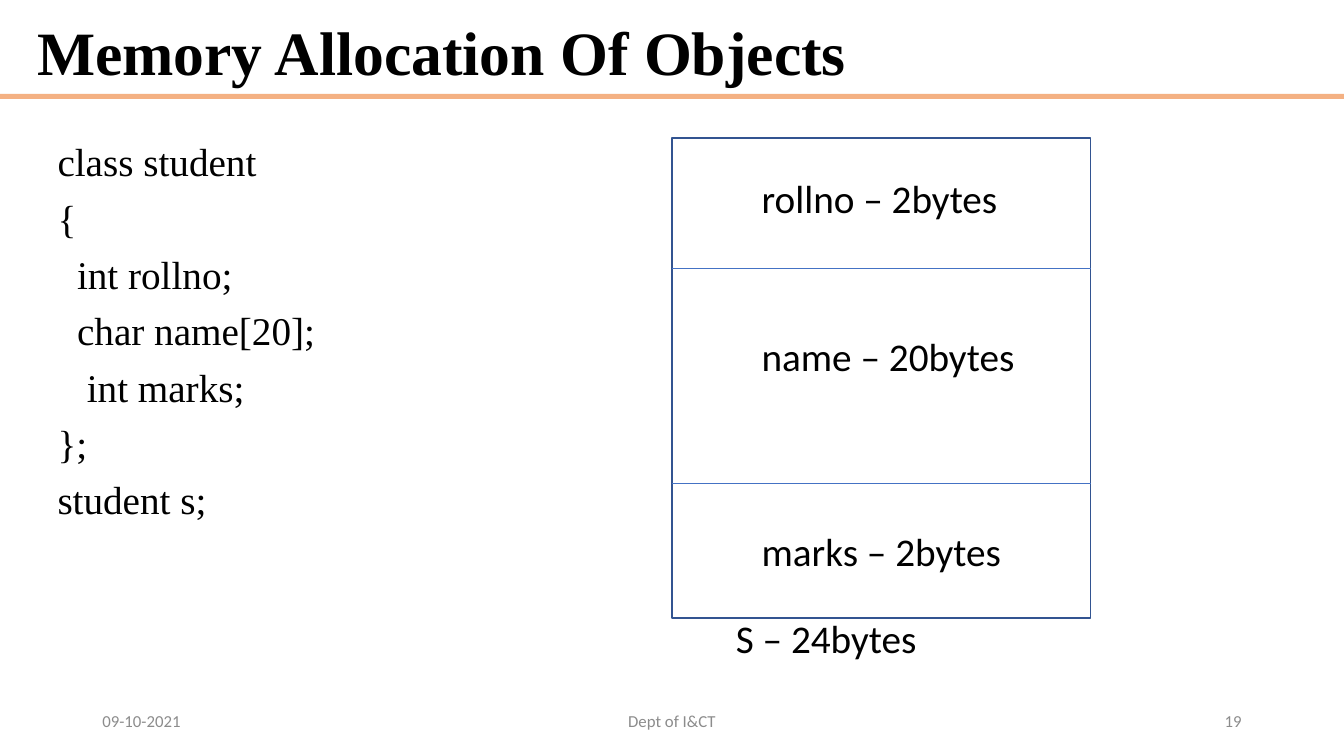
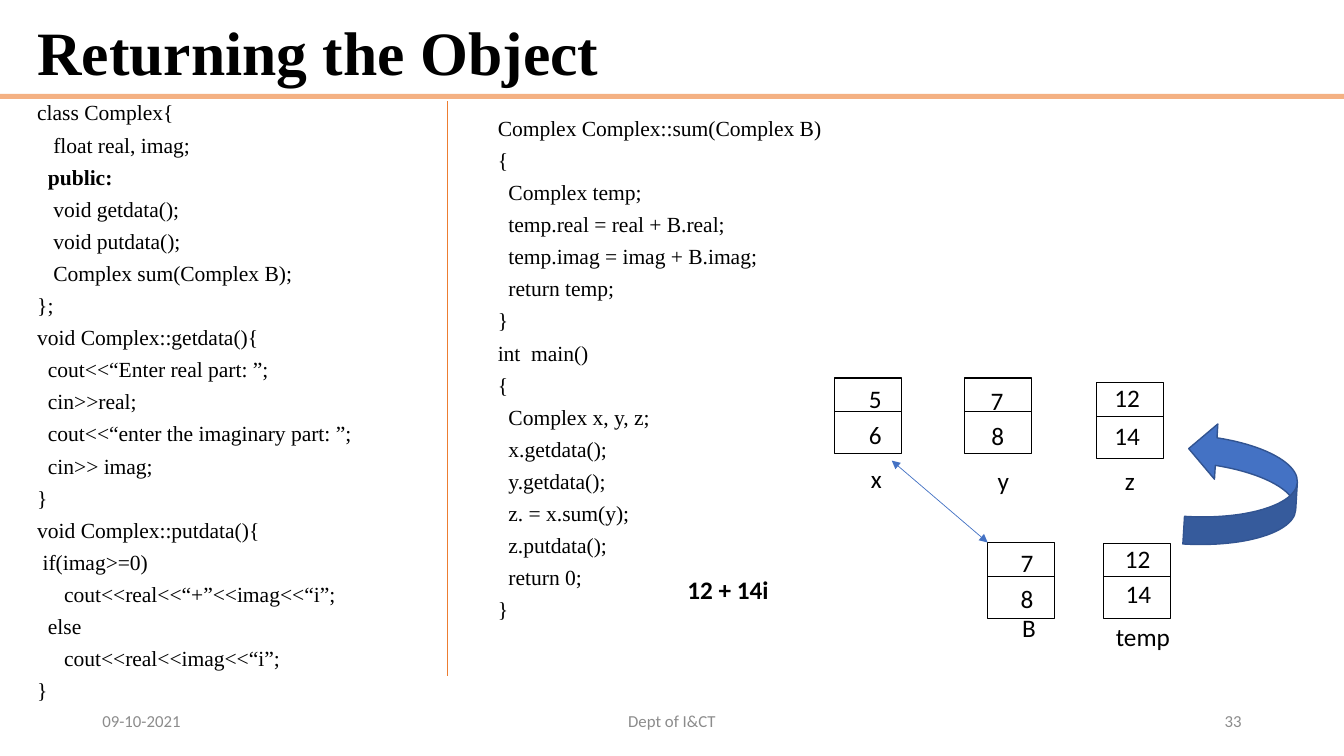
"""Build two slides on memory and return of objects."""
import dataclasses

import lxml.etree
import pptx
import pptx.dml.color
import pptx.enum.shapes
import pptx.enum.text
import pptx.oxml.ns
import pptx.util

Pt = pptx.util.Pt
Align = pptx.enum.text.PP_ALIGN
Anchor = pptx.enum.text.MSO_ANCHOR
Shape = pptx.enum.shapes.MSO_SHAPE
SERIF, SANS = "Times New Roman", "Calibri"
BLACK, GRAY, BLUE, NAVY = "000000", "8C8C8C", "4472C4", "325491"
PEACH, ORANGE = "F4B183", "ED7D31"
WIDTH, HEIGHT = 960, 540
CELL_W, CELL_H, SPLIT = 48, 54, 24


@dataclasses.dataclass
class Font:
    size: float
    face: str = SANS
    hue: str = BLACK
    bold: bool = False


@dataclasses.dataclass
class Label:
    text: str
    left: float
    top: float
    width: float = 24


@dataclasses.dataclass
class Code:
    text: str
    left: float
    top: float
    width: float
    height: float
    size: float
    pitch: float


@dataclasses.dataclass
class Foot:
    text: str
    left: float
    width: float
    align: Align


TITLE = Font(44, SERIF, bold=True)
SMALL = Font(12, hue=GRAY)
LARGE = Font(28)
VALUE = Font(18)
RESULT = Font(18, bold=True)

STUDENT = Code("""class student
{
  int rollno;
  char name[20];
   int marks;
};
student s;""", 34, 98.5, 408, 343, 28, 0.9)

COMPLEX = Code("""class Complex{
   float real, imag;
  public:
   void getdata();
   void putdata();
   Complex sum(Complex B);
};
void Complex::getdata(){
  cout<<“Enter real part: ”;
  cin>>real;
  cout<<“enter the imaginary part: ”;
  cin>> imag;
}
void Complex::putdata(){
 if(imag>=0)
     cout<<real<<“+”<<imag<<“i”;
  else
     cout<<real<<imag<<“i”;
}""", 19.5, 72.5, 286, 440, 15.4, 0.7)

SUM = Code("""Complex Complex::sum(Complex B)
{
  Complex temp;
  temp.real = real + B.real;
  temp.imag = imag + B.imag;
  return temp;
}
int  main()
{
  Complex x, y, z;
  x.getdata();
  y.getdata();
  z. = x.sum(y);
  z.putdata();
  return 0;
}""", 348.5, 83.5, 330, 417, 15.4, 0.7)

FIELDS = [
    Label("rollno – 2bytes", 537, 121, 185),
    Label("name – 20bytes", 537, 234, 197),
    Label("marks – 2bytes", 537, 373, 187),
    Label("S – 24bytes", 518.5, 435.5, 145),
]

CELLS = [(596, 270), (689, 270), (783, 273.5), (705.5, 387.5), (788, 388)]
VALUES = [
    Label("5", 613.5, 270), Label("6", 613.5, 296), Label("x", 615, 327.5, 22),
    Label("7", 700.5, 271.5), Label("8", 701, 296.5), Label("y", 705.5, 329, 23),
    Label("12", 789, 269.5, 33), Label("14", 789, 296.5, 33), Label("z", 796.5, 329, 22),
    Label("7", 722, 387.5), Label("8", 722, 413), Label("B", 723, 434),
    Label("12", 796.5, 384.5, 33), Label("14", 797, 409.5, 33), Label("temp", 790, 440, 53),
]


def tint(code: str) -> pptx.dml.color.RGBColor:
    return pptx.dml.color.RGBColor.from_string(code)


def style(para, font: Font) -> None:
    for run in para.runs:
        run.font.size = Pt(font.size)
        run.font.name = font.face
        run.font.bold = font.bold
        run.font.color.rgb = tint(font.hue)


def add_text(slide, text: str, left: float, top: float, width: float, height: float,
             font: Font, wrap: bool = True, anchor: Anchor = Anchor.TOP):
    frame = slide.shapes.add_textbox(Pt(left), Pt(top), Pt(width), Pt(height)).text_frame
    frame.word_wrap = wrap
    frame.vertical_anchor = anchor
    frame.text = text
    for para in frame.paragraphs:
        style(para, font)
    return frame


def add_label(slide, label: Label, font: Font) -> None:
    height = 41 if font.size > 18 else 29
    frame = add_text(slide, label.text, label.left, label.top, label.width, height, font, False)
    frame.auto_size = pptx.enum.text.MSO_AUTO_SIZE.SHAPE_TO_FIT_TEXT


def add_code(slide, code: Code) -> None:
    font = Font(code.size, SERIF)
    frame = add_text(slide, code.text, code.left, code.top, code.width, code.height, font)
    for row, para in enumerate(frame.paragraphs):
        para.line_spacing = code.pitch
        para.space_before = Pt(10 if row else 0)
        if para.text.strip() == "public:":
            style(para, dataclasses.replace(font, bold=True))


def paint(shape, fill: str = "", line: str = "", weight: float = 1) -> None:
    shape.shadow.inherit = False
    if fill:
        shape.fill.solid()
        shape.fill.fore_color.rgb = tint(fill)
    else:
        shape.fill.background()
    if line:
        shape.line.color.rgb = tint(line)
        shape.line.width = Pt(weight)
    else:
        shape.line.fill.background()


def add_shape(slide, kind: Shape, left: float, top: float, width: float, height: float,
              fill: str = "", line: str = ""):
    shape = slide.shapes.add_shape(kind, Pt(left), Pt(top), Pt(width), Pt(height))
    paint(shape, fill, line)
    return shape


def add_line(slide, x1: float, y1: float, x2: float, y2: float,
             hue: str, heads: bool = False) -> None:
    line = slide.shapes.add_connector(
        pptx.enum.shapes.MSO_CONNECTOR.STRAIGHT, Pt(x1), Pt(y1), Pt(x2), Pt(y2))
    line.line.color.rgb = tint(hue)
    line.line.width = Pt(0.5)
    name = pptx.oxml.ns.qn
    if heads:
        stroke = line.line._get_or_add_ln()
        for end in ("a:headEnd", "a:tailEnd"):
            lxml.etree.SubElement(stroke, name(end), type="triangle")
    lxml.etree.SubElement(line._element.spPr, name("a:effectLst"))


def add_cell(slide, left: float, top: float) -> None:
    right, base, mid = Pt(left + CELL_W), Pt(top + CELL_H), Pt(top + SPLIT)
    left, top = Pt(left), Pt(top)
    pen = slide.shapes.build_freeform(left, top)
    pen.add_line_segments([(right, top), (right, base), (left, base)])
    pen.move_to(left, mid)
    pen.add_line_segments([(right, mid)], close=False)
    paint(pen.convert_to_shape(), line=BLACK, weight=0.75)


def add_slide(deck, title: str, number: int):
    slide = deck.slides.add_slide(deck.slide_layouts[6])
    add_shape(slide, Shape.RECTANGLE, 0, 67, WIDTH, 3.6, PEACH)
    frame = add_text(slide, title, 19.5, 10.8, 875, 57, TITLE, anchor=Anchor.MIDDLE)
    frame.paragraphs[0].line_spacing = 0.9
    for foot in (Foot("09-10-2021", 66, 216, Align.LEFT),
                 Foot("Dept of I&CT", 318, 324, Align.CENTER),
                 Foot(str(number), 678, 216, Align.RIGHT)):
        frame = add_text(slide, foot.text, foot.left, 500.5, foot.width, 28.8,
                         SMALL, anchor=Anchor.MIDDLE)
        frame.paragraphs[0].alignment = foot.align
    return slide


def draw_store(deck) -> None:
    slide = add_slide(deck, "Memory Allocation Of Objects", 19)
    add_code(slide, STUDENT)
    left, width = 480, 299
    add_shape(slide, Shape.RECTANGLE, left, 98.5, width, 343, line=NAVY)
    for top in (191.5, 345.5):
        add_line(slide, left, top, left + width, top, BLUE)
    for field in FIELDS:
        add_label(slide, field, LARGE)


def draw_return(deck) -> None:
    slide = add_slide(deck, "Returning the Object", 33)
    for code in (COMPLEX, SUM):
        add_code(slide, code)
    add_line(slide, 319.5, 72.5, 319.5, 483, ORANGE)
    for left, top in CELLS:
        add_cell(slide, left, top)
    for value in VALUES:
        add_label(slide, value, VALUE)
    add_line(slide, 637, 329, 705.5, 387.5, BLUE, heads=True)
    arrow = add_shape(slide, Shape.CURVED_UP_ARROW, 843, 307.5, 88, 79, BLUE, NAVY)
    arrow.rotation = 273.5
    add_label(slide, Label("12 + 14i", 484, 407, 73), RESULT)


def main() -> None:
    deck = pptx.Presentation()
    deck.slide_width, deck.slide_height = Pt(WIDTH), Pt(HEIGHT)
    draw_store(deck)
    draw_return(deck)
    deck.save("out.pptx")


if __name__ == "__main__":
    main()
